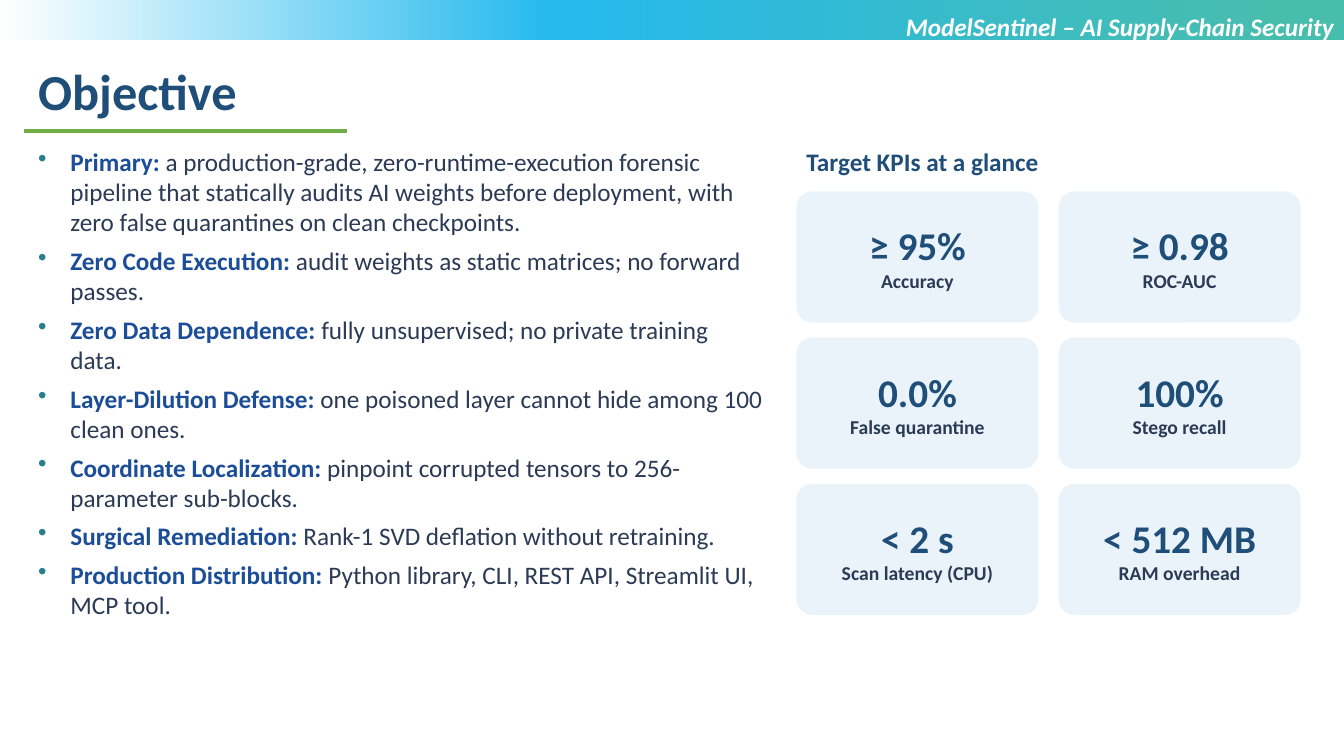
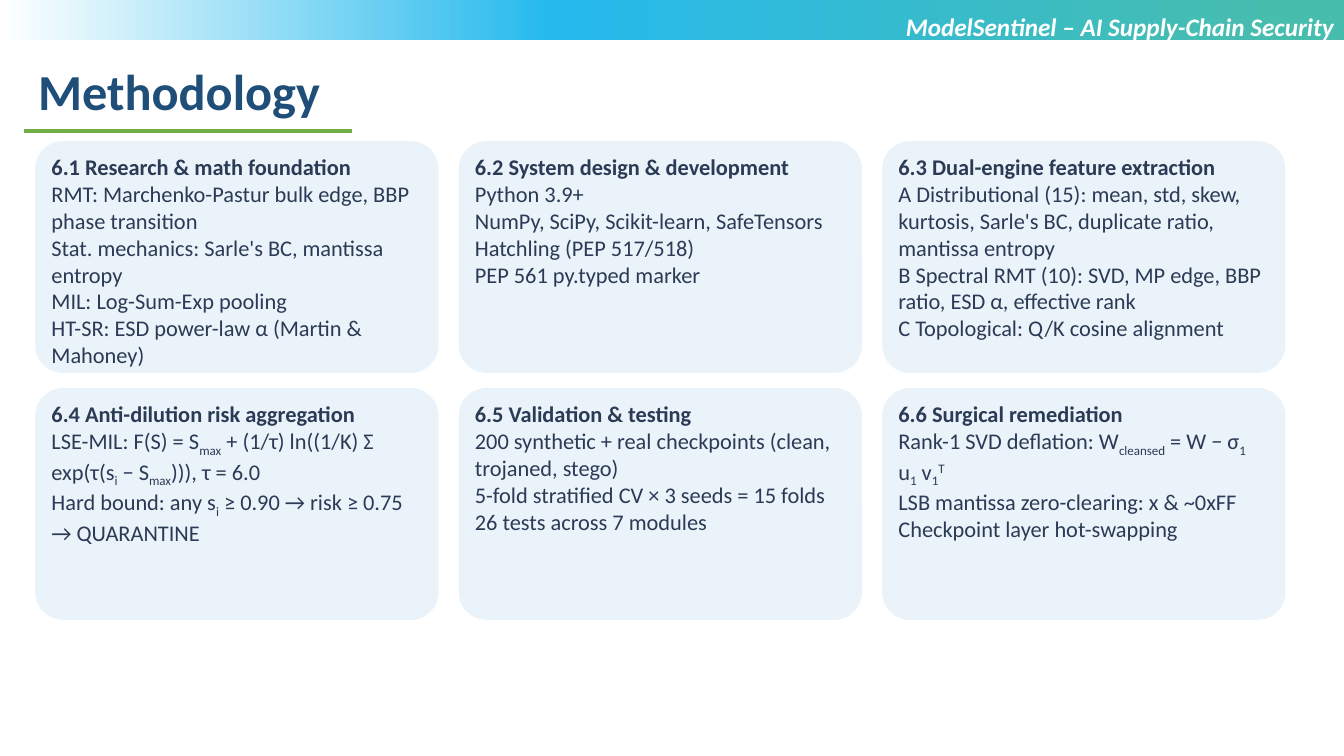
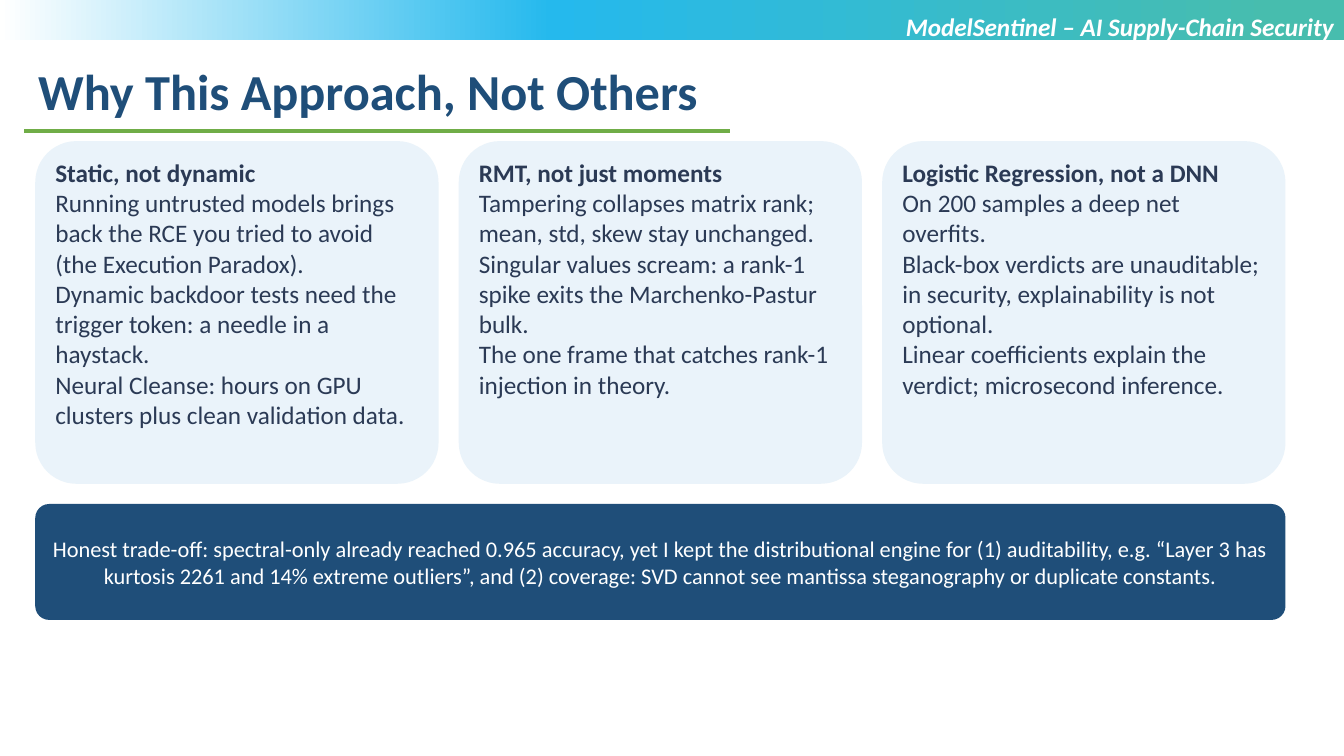
"""Build three ModelSentinel slides: objective, methodology and rationale."""
from typing import NamedTuple

from lxml import etree
from pptx import Presentation
from pptx.dml.color import RGBColor
from pptx.enum import shapes, text
from pptx.oxml import ns
from pptx.util import Inches, Pt

FONT = "Calibri"
NAVY = RGBColor(0x1F, 0x4E, 0x79)
INK = RGBColor(0x2B, 0x3A, 0x55)
BLUE = RGBColor(0x1C, 0x4D, 0x98)
BULLET = RGBColor(0x2A, 0x7F, 0x8F)
GREEN = RGBColor(0x70, 0xAD, 0x47)
PALE = RGBColor(0xEA, 0xF3, 0xFA)
WHITE = RGBColor(0xFF, 0xFF, 0xFF)
TEAL = RGBColor(0x47, 0xBD, 0xAE)
SKY = RGBColor(0x25, 0xB9, 0xED)
BAND_STOPS = [(5, TEAL), (59, SKY), (100, WHITE)]

LEFT, CENTER, RIGHT = text.PP_ALIGN.LEFT, text.PP_ALIGN.CENTER, text.PP_ALIGN.RIGHT
TOP, MIDDLE = text.MSO_ANCHOR.TOP, text.MSO_ANCHOR.MIDDLE
SUB, SUP = -25, 30
RUNNING_HEAD = "ModelSentinel – AI Supply-Chain Security"

GOALS = [
    ("Primary:", " a production-grade, zero-runtime-execution forensic pipeline that "
     "statically audits AI weights before deployment, with zero false quarantines on "
     "clean checkpoints."),
    ("Zero Code Execution:", " audit weights as static matrices; no forward passes."),
    ("Zero Data Dependence:", " fully unsupervised; no private training data."),
    ("Layer-Dilution Defense:", " one poisoned layer cannot hide among 100 clean ones."),
    ("Coordinate Localization:", " pinpoint corrupted tensors to 256-parameter sub-blocks."),
    ("Surgical Remediation:", " Rank-1 SVD deflation without retraining."),
    ("Production Distribution:", " Python library, CLI, REST API, Streamlit UI, MCP tool."),
]

KPIS = [
    ("≥ 95%", "Accuracy"),
    ("≥ 0.98", "ROC-AUC"),
    ("0.0%", "False quarantine"),
    ("100%", "Stego recall"),
    ("< 2 s", "Scan latency (CPU)"),
    ("< 512 MB", "RAM overhead"),
]

METHODS = [
    ["6.1 Research & math foundation",
     "RMT: Marchenko-Pastur bulk edge, BBP phase transition",
     "Stat. mechanics: Sarle's BC, mantissa entropy",
     "MIL: Log-Sum-Exp pooling",
     "HT-SR: ESD power-law α (Martin & Mahoney)"],
    ["6.2 System design & development",
     "Python 3.9+",
     "NumPy, SciPy, Scikit-learn, SafeTensors",
     "Hatchling (PEP 517/518)",
     "PEP 561 py.typed marker"],
    ["6.3 Dual-engine feature extraction",
     "A Distributional (15): mean, std, skew, kurtosis, Sarle's BC, duplicate ratio, "
     "mantissa entropy",
     "B Spectral RMT (10): SVD, MP edge, BBP ratio, ESD α, effective rank",
     "C Topological: Q/K cosine alignment"],
    ["6.4 Anti-dilution risk aggregation",
     ["LSE-MIL: F(S) = S", ("max", SUB), " + (1/τ) ln((1/K) Σ exp(τ(s", ("i", SUB),
      " − S", ("max", SUB), "))), τ = 6.0"],
     ["Hard bound: any s", ("i", SUB), " ≥ 0.90 → risk ≥ 0.75 → QUARANTINE"]],
    ["6.5 Validation & testing",
     "200 synthetic + real checkpoints (clean, trojaned, stego)",
     "5-fold stratified CV × 3 seeds = 15 folds",
     "26 tests across 7 modules"],
    ["6.6 Surgical remediation",
     ["Rank-1 SVD deflation: W", ("cleansed", SUB), " = W − σ", ("1", SUB), " u",
      ("1", SUB), " v", ("1", SUB), ("T", SUP)],
     "LSB mantissa zero-clearing: x & ~0xFF",
     "Checkpoint layer hot-swapping"],
]

REASONS = [
    ["Static, not dynamic",
     "Running untrusted models brings back the RCE you tried to avoid (the Execution "
     "Paradox).",
     "Dynamic backdoor tests need the trigger token: a needle in a haystack.",
     "Neural Cleanse: hours on GPU clusters plus clean validation data."],
    ["RMT, not just moments",
     "Tampering collapses matrix rank; mean, std, skew stay unchanged.",
     "Singular values scream: a rank-1 spike exits the Marchenko-Pastur bulk.",
     "The one frame that catches rank-1 injection in theory."],
    ["Logistic Regression, not a DNN",
     "On 200 samples a deep net overfits.",
     "Black-box verdicts are unauditable; in security, explainability is not optional.",
     "Linear coefficients explain the verdict; microsecond inference."],
]

TRADE_OFF = (
    "Honest trade-off: spectral-only already reached 0.965 accuracy, yet I kept the "
    "distributional engine for (1) auditability, e.g. “Layer 3 has kurtosis 2261 and 14% "
    "extreme outliers”, and (2) coverage: SVD cannot see mantissa steganography or "
    "duplicate constants.")


class Box(NamedTuple):
    """A rectangle in inches."""
    x: float
    y: float
    w: float
    h: float

    def emu(self):
        """Return the rectangle as lengths."""
        return [Inches(v) for v in self]


def grid(box, cols, rows, gap_x, gap_y):
    """Split a box into equal cells, row by row."""
    w = (box.w - gap_x * (cols - 1)) / cols
    h = (box.h - gap_y * (rows - 1)) / rows
    return [Box(box.x + c * (w + gap_x), box.y + r * (h + gap_y), w, h)
            for r in range(rows) for c in range(cols)]


def add_run(p, words, size, color, bold=False, italic=False, baseline=0):
    """Append a formatted run to a paragraph."""
    r = p.add_run()
    r.text = words
    f = r.font
    f.name, f.size, f.bold, f.italic = FONT, Pt(size), bold, italic
    f.color.rgb = color
    if baseline:
        r._r.get_or_add_rPr().set("baseline", str(baseline * 1000))


def next_paragraph(tf, align=LEFT):
    """Return the empty first paragraph or a new one."""
    p = tf.paragraphs[0] if not tf.paragraphs[0].runs else tf.add_paragraph()
    p.alignment = align
    return p


def add_text(slide, box):
    """Add a wrapping text box and return its frame."""
    tf = slide.shapes.add_textbox(*box.emu()).text_frame
    tf.word_wrap = True
    return tf


def add_label(slide, box, words, size, color, align=LEFT, italic=False):
    """Add one bold line of text."""
    add_run(next_paragraph(add_text(slide, box), align), words, size, color, True, italic)


def add_card(slide, box, fill=PALE, anchor=TOP):
    """Add a rounded card and return its text frame."""
    sp = slide.shapes.add_shape(shapes.MSO_SHAPE.ROUNDED_RECTANGLE, *box.emu())
    sp.adjustments[0] = 0.12
    sp.shadow.inherit = False
    sp.fill.solid()
    sp.fill.fore_color.rgb = fill
    sp.line.fill.background()
    tf = sp.text_frame
    tf.word_wrap = True
    tf.vertical_anchor = anchor
    tf.margin_left = tf.margin_right = Inches(0.08)
    tf.margin_top = tf.margin_bottom = Inches(0.04)
    return tf


def add_band(slide, box):
    """Add the gradient band across the top."""
    sp = slide.shapes.add_shape(shapes.MSO_SHAPE.RECTANGLE, *box.emu())
    sp.shadow.inherit = False
    sp.line.fill.background()
    sp.fill.gradient()
    sp.fill.gradient_angle = 180
    stops = sp._element.spPr.find(".//" + ns.qn("a:gsLst"))
    for old in list(stops):
        stops.remove(old)
    for pos, color in BAND_STOPS:
        gs = etree.SubElement(stops, ns.qn("a:gs"), pos=str(pos * 1000))
        etree.SubElement(gs, ns.qn("a:srgbClr"), val=str(color))


def add_rule(slide, x, y, w):
    """Add the green rule under a title."""
    ln = slide.shapes.add_connector(
        shapes.MSO_CONNECTOR.STRAIGHT, Inches(x), Inches(y), Inches(x + w), Inches(y))
    ln.line.color.rgb = GREEN
    ln.line.width = Pt(2.25)
    etree.SubElement(ln._element.spPr, ns.qn("a:effectLst"))


def new_slide(prs, title, rule_width):
    """Add a slide with the band, running head, title and rule."""
    slide = prs.slides.add_slide(prs.slide_layouts[6])
    add_band(slide, Box(0, 0, 13.33, 0.4))
    add_label(slide, Box(0.28, 0.55, 12.6, 0.71), title, 36, NAVY)
    add_rule(slide, 0.24, 1.3, rule_width)
    add_label(slide, Box(6.66, 0.06, 6.67, 0.71), RUNNING_HEAD, 18, WHITE, RIGHT, True)
    return slide


def set_bullet(p, indent):
    """Give a paragraph a hanging coloured bullet."""
    pPr = p._p.get_or_add_pPr()
    pPr.set("marL", str(Inches(indent)))
    pPr.set("indent", str(-Inches(indent)))
    clr = etree.SubElement(pPr, ns.qn("a:buClr"))
    etree.SubElement(clr, ns.qn("a:srgbClr"), val=str(BULLET))
    etree.SubElement(pPr, ns.qn("a:buChar"), char="•")


def add_goals(slide, box):
    """Add the bulleted goals with bold lead-ins."""
    tf = add_text(slide, box)
    for lead, detail in GOALS:
        p = next_paragraph(tf)
        p.space_after = Pt(6)
        set_bullet(p, 0.32)
        add_run(p, lead, 18, BLUE, True)
        add_run(p, detail, 18, INK)


def add_kpis(slide, box):
    """Add the heading and the grid of target figures."""
    add_label(slide, Box(box.x, box.y, box.w, 0.4), "Target KPIs at a glance", 18, NAVY)
    cells = grid(Box(box.x, box.y + 0.5, box.w, box.h - 0.5), 2, 3, 0.2, 0.15)
    for cell, (value, name) in zip(cells, KPIS):
        tf = add_card(slide, cell, anchor=MIDDLE)
        add_run(next_paragraph(tf, CENTER), value, 28, NAVY, True)
        add_run(next_paragraph(tf, CENTER), name, 14, INK, True)


def add_topics(slide, box, topics, rows, size):
    """Add a three-column grid of cards with a bold first line."""
    for cell, lines in zip(grid(box, 3, rows, 0.2, 0.15), topics):
        tf = add_card(slide, cell)
        for i, line in enumerate(lines):
            p = next_paragraph(tf)
            for part in [line] if isinstance(line, str) else line:
                words, shift = (part, 0) if isinstance(part, str) else part
                add_run(p, words, size, INK, bold=i == 0, baseline=shift)


def objective_slide(prs):
    """Build the objective slide."""
    slide = new_slide(prs, "Objective", 3.2)
    add_goals(slide, Box(0.28, 1.4, 7.4, 4.8))
    add_kpis(slide, Box(7.9, 1.4, 5, 4.7))


def methodology_slide(prs):
    """Build the methodology slide."""
    slide = new_slide(prs, "Methodology", 3.25)
    add_topics(slide, Box(0.35, 1.4, 12.4, 4.75), METHODS, 2, 16)


def rationale_slide(prs):
    """Build the rationale slide."""
    slide = new_slide(prs, "Why This Approach, Not Others", 7)
    add_topics(slide, Box(0.35, 1.4, 12.4, 3.4), REASONS, 1, 18)
    tf = add_card(slide, Box(0.35, 5, 12.4, 1.15), NAVY, MIDDLE)
    add_run(next_paragraph(tf, CENTER), TRADE_OFF, 16, WHITE)


def main():
    """Build and save the presentation."""
    prs = Presentation()
    prs.slide_width, prs.slide_height = Inches(13.33), Inches(7.5)
    objective_slide(prs)
    methodology_slide(prs)
    rationale_slide(prs)
    prs.save("out.pptx")


if __name__ == "__main__":
    main()
